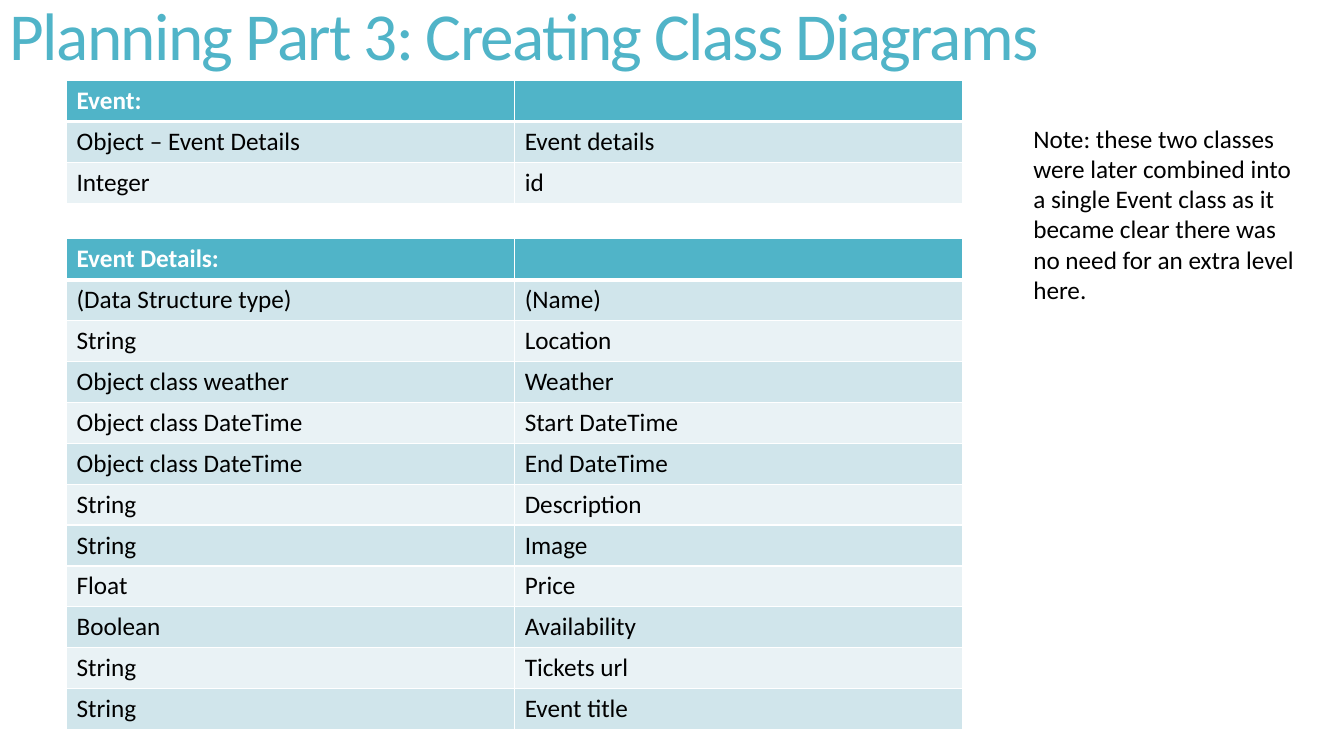
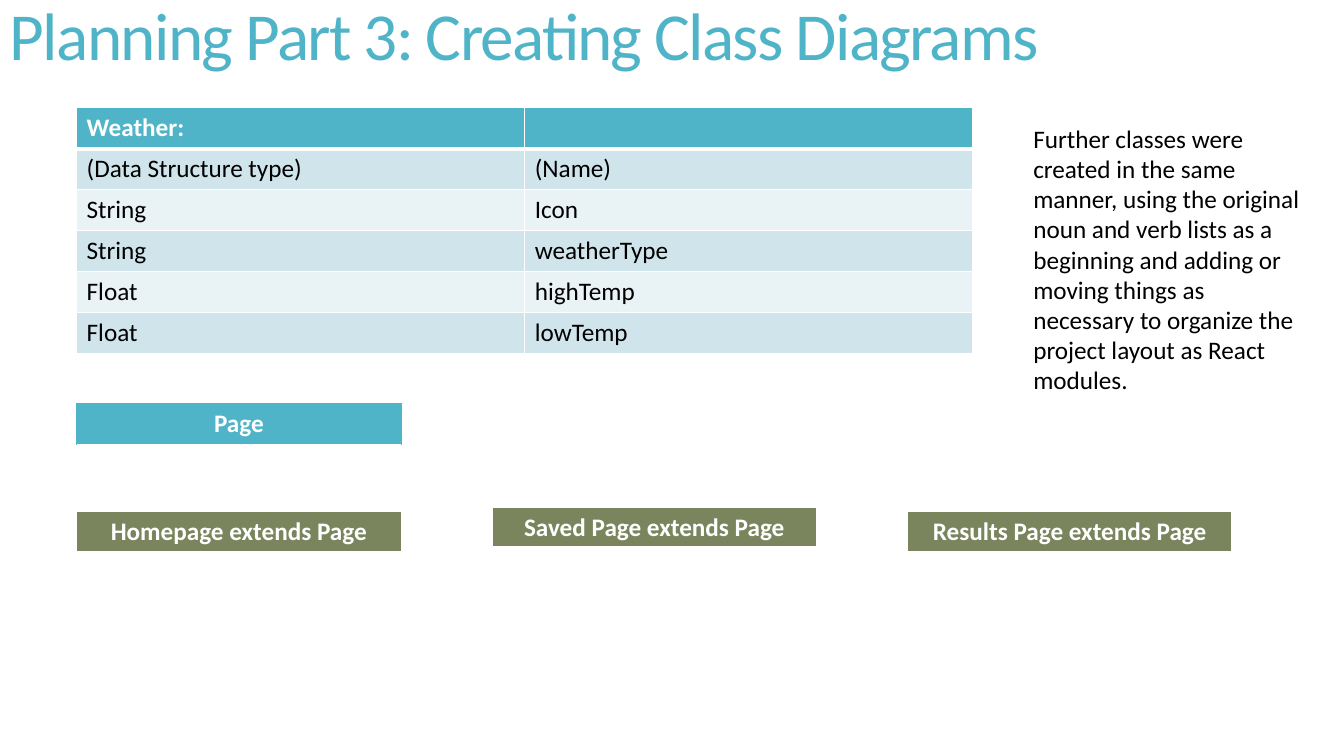
import lxml.etree
import pptx
import pptx.dml.color
import pptx.enum.text
import pptx.oxml.ns
import pptx.util

Inches = pptx.util.Inches
Pt = pptx.util.Pt
qn = pptx.oxml.ns.qn
ALIGN = pptx.enum.text.PP_ALIGN

COLORS = {
    "teal": "50B4C8",
    "olive": "7A855D",
    "band_dark": "D0E5EB",
    "band_light": "E9F2F5",
    "white": "FFFFFF",
    "black": "000000",
}
FONTS = {
    "title": {"name": "Calibri", "size": Pt(48), "bold": False},
    "header": {"name": "Calibri", "size": Pt(18), "bold": True},
    "body": {"name": "Calibri", "size": Pt(18), "bold": False},
}
TITLE = "Planning Part 3: Creating Class Diagrams"
TITLE_BOX = (0, 0, 11.5, 0.8)
TITLE_SPACING = -120  # hundredths of a point

THIN = ("white", 1)
THICK = ("white", 3)
OUTLINE = ("teal", 0.75)
HEADER_BORDERS = {"lnL": THIN, "lnR": THIN, "lnT": THIN, "lnB": THICK}
PAGE_BORDERS = {"lnL": OUTLINE, "lnR": OUTLINE, "lnT": OUTLINE, "lnB": THIN}

CLASS_SLIDES = [
    {
        "classes": [
            ((0.66, 0.8, 8.89, 1.22), [
                ("Event:", ""),
                ("Object – Event Details", "Event details"),
                ("Integer", "id"),
            ]),
            ((0.66, 2.37, 8.89, 4.87), [
                ("Event Details:", ""),
                ("(Data Structure type)", "(Name)"),
                ("String", "Location"),
                ("Object class weather", "Weather"),
                ("Object class DateTime", "Start DateTime"),
                ("Object class DateTime", "End DateTime"),
                ("String", "Description"),
                ("String", "Image"),
                ("Float", "Price"),
                ("Boolean", "Availability"),
                ("String", "Tickets url"),
                ("String", "Event title"),
            ]),
        ],
        "note": ((10.15, 1.17, 2.85, 1.92),
                 "Note: these two classes were later combined into a single "
                 "Event class as it became clear there was no need for an "
                 "extra level here."),
        "pages": [],
    },
    {
        "classes": [
            ((0.76, 1.07, 8.89, 2.44), [
                ("Weather:", ""),
                ("(Data Structure type)", "(Name)"),
                ("String", "Icon"),
                ("String", "weatherType"),
                ("Float", "highTemp"),
                ("Float", "lowTemp"),
            ]),
        ],
        "note": ((10.15, 1.17, 2.85, 2.83),
                 "Further classes were created in the same manner, using the "
                 "original noun and verb lists as a beginning and adding or "
                 "moving things as necessary to organize the project layout "
                 "as React modules."),
        "pages": [
            ((0.76, 4, 3.22, 0.41), "Page", "teal", PAGE_BORDERS),
            ((0.76, 5.07, 3.22, 0.41), "Homepage extends Page", "olive", HEADER_BORDERS),
            ((4.88, 5.03, 3.22, 0.41), "Saved Page extends Page", "olive", HEADER_BORDERS),
            ((9, 5.07, 3.22, 0.41), "Results Page extends Page", "olive", HEADER_BORDERS),
        ],
    },
]


def rgb(color):
    return pptx.dml.color.RGBColor.from_string(COLORS[color])


def write(paragraph, text, style, color):
    run = paragraph.add_run()
    run.text = text
    for name, value in FONTS[style].items():
        setattr(run.font, name, value)
    run.font.color.rgb = rgb(color)
    return run


def add_text_frame(slide, box):
    frame = slide.shapes.add_textbox(*map(Inches, box)).text_frame
    frame.word_wrap = True
    return frame


def add_title(slide, box):
    frame = add_text_frame(slide, box)
    frame.vertical_anchor = pptx.enum.text.MSO_ANCHOR.MIDDLE
    paragraph = frame.paragraphs[0]
    paragraph.line_spacing = 0.85
    run = write(paragraph, TITLE, "title", "teal")
    run.font._element.set("spc", str(TITLE_SPACING))


def add_note(slide, box, text):
    frame = add_text_frame(slide, box)
    frame.auto_size = pptx.enum.text.MSO_AUTO_SIZE.SHAPE_TO_FIT_TEXT
    write(frame.paragraphs[0], text, "body", "black")


def set_borders(cell, borders):
    """Draw cell edges; the schema wants them ahead of the fill."""
    properties = cell._tc.get_or_add_tcPr()
    for index, (edge, (color, width)) in enumerate(borders.items()):
        line = lxml.etree.Element(qn("a:" + edge), w=str(Pt(width)))
        fill = lxml.etree.SubElement(line, qn("a:solidFill"))
        lxml.etree.SubElement(fill, qn("a:srgbClr"), val=COLORS[color])
        properties.insert(index, line)


def add_plain_table(slide, box, row_count, column_count):
    """Add a table without banding whose rows and columns share the box evenly."""
    left, top, width, height = map(Inches, box)
    table = slide.shapes.add_table(
        row_count, column_count, left, top, width, height).table
    table.first_row = table.horz_banding = False
    return table


def fill_cell(cell, text, fill, style, color, borders, alignment=ALIGN.LEFT):
    cell.fill.solid()
    cell.fill.fore_color.rgb = rgb(fill)
    set_borders(cell, borders)
    paragraph = cell.text_frame.paragraphs[0]
    paragraph.alignment = alignment
    if text:
        write(paragraph, text, style, color)


def add_class_table(slide, box, members):
    table = add_plain_table(slide, box, len(members), len(members[0]))
    for row, texts in enumerate(members):
        if row == 0:
            look = ("teal", "header", "white", HEADER_BORDERS)
        else:
            band = "band_dark" if row % 2 else "band_light"
            top = THICK if row == 1 else THIN
            borders = {"lnL": THIN, "lnR": THIN, "lnT": top, "lnB": THIN}
            look = (band, "body", "black", borders)
        for column, text in enumerate(texts):
            fill_cell(table.cell(row, column), text, *look)


def add_page_tag(slide, box, text, fill, borders):
    table = add_plain_table(slide, box, 1, 1)
    fill_cell(table.cell(0, 0), text, fill, "header", "white", borders, ALIGN.CENTER)


def add_class_slide(deck, content):
    slide = deck.slides.add_slide(deck.slide_layouts[6])
    add_title(slide, TITLE_BOX)
    for box, members in content["classes"]:
        add_class_table(slide, box, members)
    add_note(slide, *content["note"])
    for page in content["pages"]:
        add_page_tag(slide, *page)


def main():
    deck = pptx.Presentation()
    deck.slide_width = Inches(13.33)
    deck.slide_height = Inches(7.5)
    for content in CLASS_SLIDES:
        add_class_slide(deck, content)
    deck.save("out.pptx")


if __name__ == "__main__":
    main()
